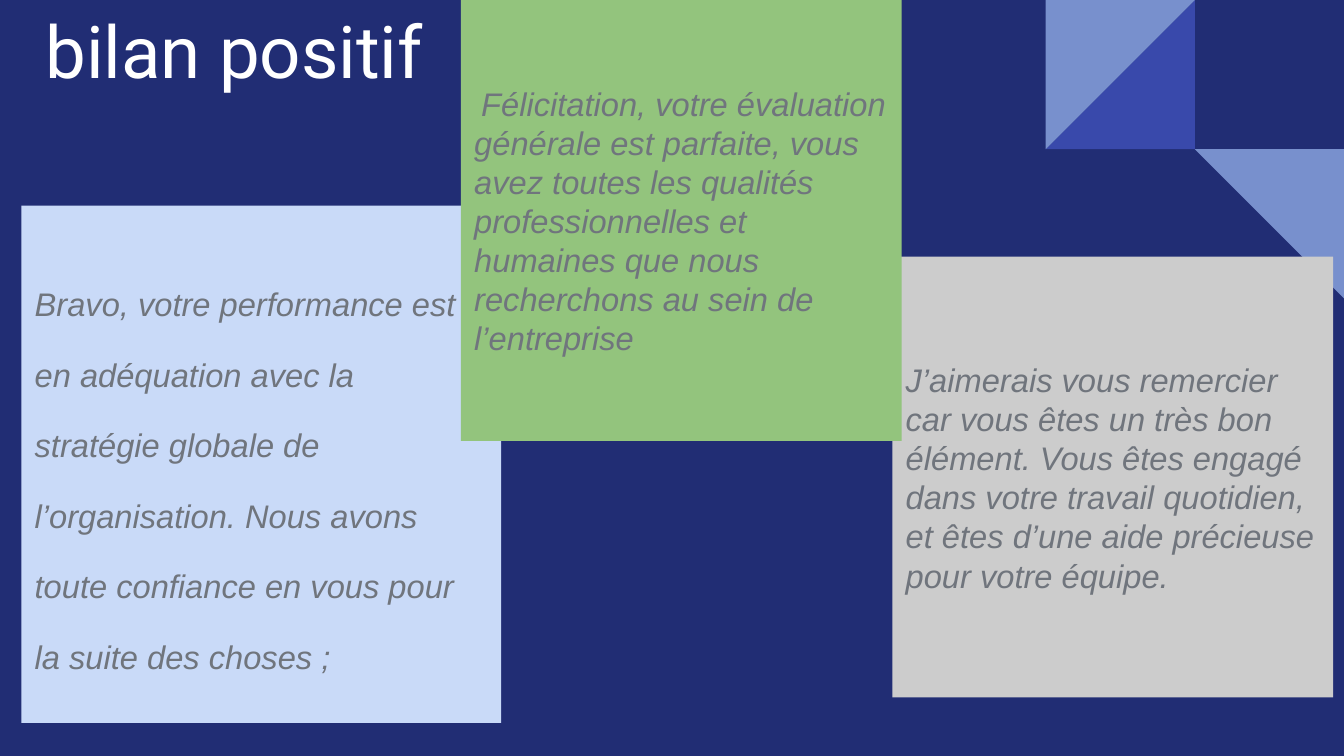
from dataclasses import dataclass

from pptx import Presentation
from pptx.dml.color import RGBColor as Rgb
from pptx.enum.shapes import MSO_SHAPE as Kind
from pptx.enum.text import MSO_ANCHOR as Anchor, PP_ALIGN as Align
from pptx.util import Inches, Pt


@dataclass(frozen=True)
class Theme:
    """Colours, fonts and type sizes of the slide."""
    navy: str = "212D74"
    royal: str = "3949AB"
    sky: str = "7890CD"
    white: str = "FFFFFF"
    ink: str = "70757D"
    blue: str = "C9DAF8"
    grey: str = "CCCCCC"
    green: str = "93C47D"
    head: str = "Roboto"
    body: str = "Arial"
    title: float = 38.9
    text: float = 17.5
    gap: float = 13.5


THEME = Theme()


def add_shape(slide, kind, box, fill):
    """Add a plain filled shape without line or shadow."""
    shape = slide.shapes.add_shape(kind, *map(Inches, box))
    shape.shadow.inherit = False
    shape.fill.solid()
    shape.fill.fore_color.rgb = Rgb.from_string(fill)
    shape.line.fill.background()
    return shape


def set_frame(frame, anchor):
    """Wrap and anchor a text frame, and return its first paragraph."""
    frame.word_wrap = True
    frame.vertical_anchor = anchor
    frame.margin_left = frame.margin_right = Inches(0.1)
    frame.margin_top = frame.margin_bottom = Inches(0.1)
    para = frame.paragraphs[0]
    para.alignment = Align.LEFT
    return para


def set_font(font, name, size, color):
    """Give a font its name, size and colour."""
    font.name = name
    font.size = Pt(size)
    font.color.rgb = Rgb.from_string(color)


def add_corner(slide, left, top, side):
    """Add the steps of triangles in the top right corner."""
    steps = [
        (0, 0, 270, THEME.royal),
        (0, 0, 90, THEME.sky),
        (1, 1, 180, THEME.sky),
    ]
    for col, row, turn, fill in steps:
        box = (left + col * side, top + row * side, side, side)
        add_shape(slide, Kind.RIGHT_TRIANGLE, box, fill).rotation = turn


def add_title(slide, box, text):
    """Add the title of the slide."""
    frame = slide.shapes.add_textbox(*map(Inches, box)).text_frame
    para = set_frame(frame, Anchor.BOTTOM)
    para.text = text
    para.line_spacing = 0.9
    set_font(para.font, THEME.head, THEME.title, THEME.white)


def add_card(slide, box, fill, text, lead=""):
    """Add a coloured card with an italic message, and return its paragraph."""
    card = add_shape(slide, Kind.RECTANGLE, box, fill)
    para = set_frame(card.text_frame, Anchor.MIDDLE)
    set_font(para.font, THEME.body, THEME.text, THEME.ink)
    if lead:
        run = para.add_run()
        run.text = lead
        run.font.size = Pt(THEME.gap)
    run = para.add_run()
    run.text = text
    para.font.italic = True
    return para


def main():
    """Build the slide and save it."""
    deck = Presentation()
    deck.slide_width = Inches(10)
    deck.slide_height = deck.slide_width * 9 // 16
    slide = deck.slides.add_slide(deck.slide_layouts[6])
    back = slide.background.fill
    back.solid()
    back.fore_color.rgb = Rgb.from_string(THEME.navy)

    add_corner(slide, 7.78, 0, 1.11)
    add_title(slide, (0.24, 0, 9.18, 0.8), "bilan positif")
    para = add_card(
        slide, (0.16, 1.53, 3.57, 3.85), THEME.blue,
        "Bravo, votre performance est en adéquation avec la stratégie "
        "globale de l’organisation. Nous avons toute confiance en vous "
        "pour la suite des choses ;")
    para.line_spacing = 1.8
    para.space_before = Pt(3)
    add_card(
        slide, (6.64, 1.91, 3.28, 3.28), THEME.grey,
        "J’aimerais vous remercier car vous êtes un très bon élément. "
        "Vous êtes engagé dans votre travail quotidien, et êtes d’une "
        "aide précieuse pour votre équipe.")
    add_card(
        slide, (3.43, 0, 3.28, 3.28), THEME.green,
        "Félicitation, votre évaluation générale est parfaite, vous avez "
        "toutes les qualités professionnelles et humaines que nous "
        "recherchons au sein de l’entreprise", lead=" ")
    deck.save("out.pptx")


if __name__ == "__main__":
    main()
